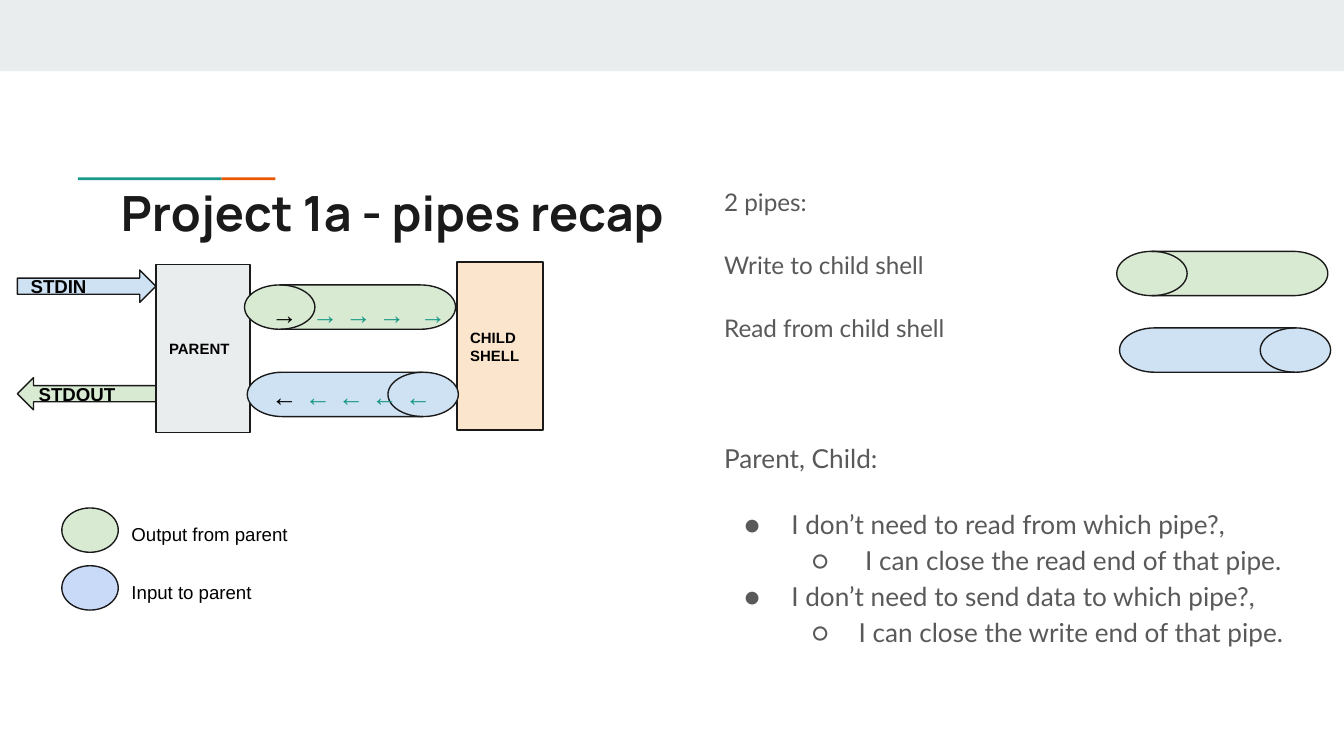
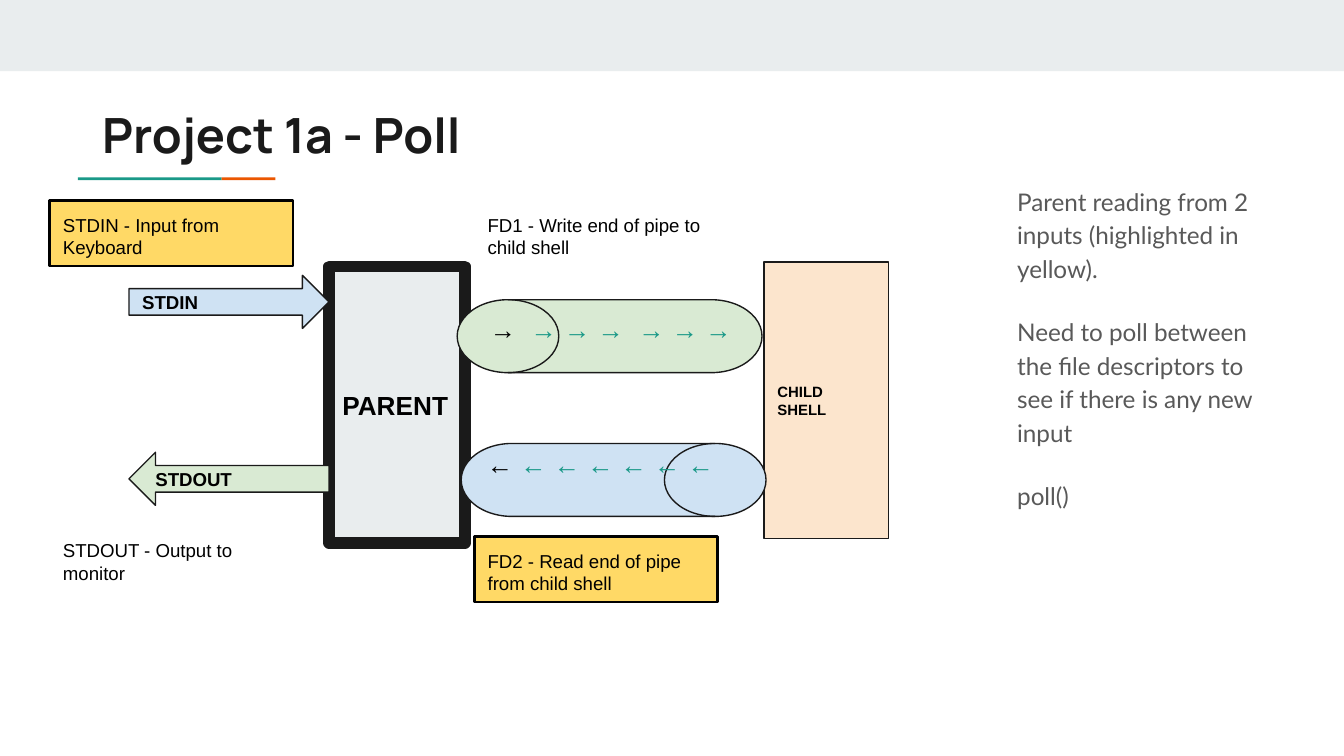
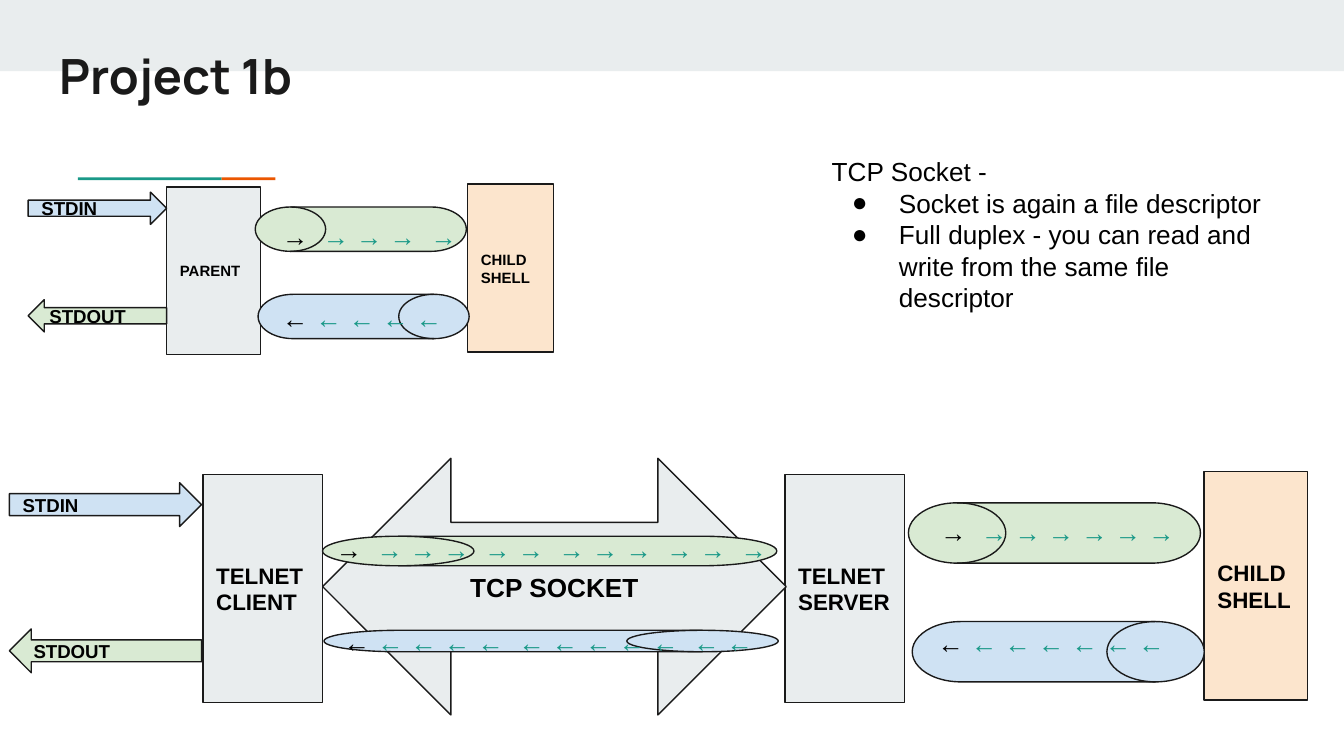
from pptx import Presentation
from pptx.dml.color import RGBColor
from pptx.enum.shapes import MSO_SHAPE
from pptx.enum.text import MSO_ANCHOR, MSO_AUTO_SIZE, PP_ALIGN
from pptx.oxml.ns import qn
from pptx.util import Inches, Pt
from lxml.etree import SubElement

BAND = RGBColor(0xE9, 0xED, 0xEE)
TEAL = RGBColor(0x1A, 0x99, 0x88)
ORANGE = RGBColor(0xEB, 0x56, 0x00)
INK = RGBColor(0x1A, 0x1A, 0x1A)
BLACK = RGBColor(0, 0, 0)
GRAY = RGBColor(0x59, 0x59, 0x59)
GREEN = RGBColor(0xD9, 0xEA, 0xD3)
BLUE = RGBColor(0xCF, 0xE2, 0xF3)
PERIWINKLE = RGBColor(0xC9, 0xDA, 0xF8)
PEACH = RGBColor(0xFC, 0xE5, 0xCD)
YELLOW = RGBColor(0xFF, 0xD9, 0x66)

DIAGRAM_WIDTH, DIAGRAM_HEIGHT = 3.91, 1.27
PIPES_WIDTH = 1.59


def set_frame(frame, anchor=MSO_ANCHOR.TOP):
    frame.word_wrap = True
    frame.auto_size = MSO_AUTO_SIZE.NONE
    frame.vertical_anchor = anchor
    frame.margin_left = frame.margin_right = Inches(0.1)
    frame.margin_top = frame.margin_bottom = Inches(0.1)


def add_run(paragraph, text, size, color=BLACK, bold=False, font="Arial"):
    run = paragraph.add_run()
    run.text = text
    run.font.size = Pt(size)
    run.font.name = font
    run.font.bold = bold
    run.font.color.rgb = color
    return run


def next_paragraph(frame, index):
    return frame.add_paragraph() if index else frame.paragraphs[0]


def write_lines(frame, lines, size, bold=False, align=PP_ALIGN.LEFT):
    for index, line in enumerate(lines):
        paragraph = next_paragraph(frame, index)
        paragraph.alignment = align
        add_run(paragraph, line, size, bold=bold)


def set_bullet(paragraph, char, color, indent, font):
    properties = paragraph._p.get_or_add_pPr()
    properties.set("marL", str(Inches(indent)))
    properties.set("indent", str(Inches(-0.35)))
    bullet_color = SubElement(properties, qn("a:buClr"))
    SubElement(bullet_color, qn("a:srgbClr")).set("val", str(color))
    SubElement(properties, qn("a:buFont")).set("typeface", font)
    SubElement(properties, qn("a:buChar")).set("char", char)


def add_block(slide, kind, box, fill, line=INK, weight=0.75):
    block = slide.shapes.add_shape(kind, *map(Inches, box))
    block.shadow.inherit = False
    block.fill.solid()
    block.fill.fore_color.rgb = fill
    if line is None:
        block.line.fill.background()
    else:
        block.line.color.rgb = line
        block.line.width = Pt(weight)
    return block


def add_text_frame(slide, box):
    frame = slide.shapes.add_textbox(*map(Inches, box)).text_frame
    set_frame(frame)
    return frame


def add_label(slide, box, text):
    write_lines(add_text_frame(slide, box), [text], 10)


def add_highlight(slide, box, text):
    note = add_block(slide, MSO_SHAPE.RECTANGLE, box, YELLOW, BLACK, 1.5)
    set_frame(note.text_frame)
    write_lines(note.text_frame, [text], 10)


def add_named_block(slide, kind, box, fill, lines, size,
                    weight=0.75, align=PP_ALIGN.LEFT):
    block = add_block(slide, kind, box, fill, weight=weight)
    set_frame(block.text_frame, MSO_ANCHOR.MIDDLE)
    write_lines(block.text_frame, lines, size, True, align)


def add_process(slide, box, fill, lines, size, weight=0.75):
    add_named_block(slide, MSO_SHAPE.RECTANGLE, box, fill, lines, size, weight)


def add_pipe(slide, box, fill, rotation):
    left, top, length, bore = box
    shift = (length - bore) / 2
    pipe = add_block(slide, MSO_SHAPE.FLOWCHART_MAGNETIC_DISK,
                     (left + shift, top - shift, bore, length), fill)
    pipe.rotation = rotation


def add_flow(slide, box, arrow, groups):
    paragraph = add_text_frame(slide, box).paragraphs[0]
    backward = arrow == "←"
    if backward:
        paragraph._p.get_or_add_pPr().set("marL", str(Inches(0.05)))
    for index, count in enumerate(groups):
        if index:
            gap = add_run(paragraph, " ", 14)
            gap.font._element.set("spc", "390")
        else:
            add_run(paragraph, arrow, 14, bold=backward)
            count -= 1
            if count:
                add_run(paragraph, " ", 14)
        if count:
            add_run(paragraph, " ".join(arrow * count), 14, TEAL)


def add_streams(slide, left, top, width, y_scale):
    for kind, y, fill, name in (
            (MSO_SHAPE.RIGHT_ARROW, 0.06, BLUE, "STDIN"),
            (MSO_SHAPE.LEFT_ARROW, 0.86, GREEN, "STDOUT")):
        box = (left, top + y * y_scale, width, 0.24 * y_scale)
        add_named_block(slide, kind, box, fill, [name], 10)


def add_pipe_pair(slide, left, top, width, y_scale, out_groups, back_groups):
    x_scale = width / PIPES_WIDTH

    def place(x, y, w):
        return (left + x * x_scale, top + y * y_scale,
                w * x_scale, 0.33 * y_scale)

    add_pipe(slide, place(0, 0.17, 1.57), GREEN, 270)
    add_pipe(slide, place(0.02, 0.82, 1.57), BLUE, 90)
    add_flow(slide, place(0.1, 0.17, 1.52), "→", out_groups)
    add_flow(slide, place(0.05, 0.78, 1.52), "←", back_groups)


def add_shell_diagram(slide, box, out_groups=(1, 3, 1), back_groups=(5,),
                      parent_size=8, parent_weight=0.75):
    left, top, width, height = box
    x_scale, y_scale = width / DIAGRAM_WIDTH, height / DIAGRAM_HEIGHT
    process_height = 1.25 * y_scale
    add_process(slide, (left + 1.03 * x_scale, top + 0.02 * y_scale,
                        0.7 * x_scale, process_height),
                BAND, ["PARENT"], parent_size, parent_weight)
    add_process(slide, (left + 3.27 * x_scale, top,
                        0.64 * x_scale, process_height),
                PEACH, ["CHILD", "SHELL"], 8)
    add_pipe_pair(slide, left + 1.69 * x_scale, top, PIPES_WIDTH * x_scale,
                  y_scale, out_groups, back_groups)
    add_streams(slide, left, top, 1.03 * x_scale, y_scale)


def add_telnet_diagram(slide, left, top):
    y_scale, height = 1.36, 1.7
    for x, name in ((1.44, "CLIENT"), (5.77, "SERVER")):
        add_process(slide, (left + x, top + 0.02, 0.89, height),
                    BAND, ["TELNET", name], 12)
    add_process(slide, (left + 8.89, top, 0.77, height),
                PEACH, ["CHILD", "SHELL"], 12)
    add_pipe_pair(slide, left + 6.69, top, 2.2, y_scale, (1, 6), (7,))
    add_streams(slide, left, top, 1.43, y_scale)
    socket = left + 2.33
    add_named_block(slide, MSO_SHAPE.LEFT_RIGHT_ARROW,
                    (socket, top - 0.1, 3.45, 1.91), BAND,
                    ["TCP SOCKET"], 14, align=PP_ALIGN.CENTER)
    add_pipe(slide, (socket, top + 0.48, 3.38, 0.22), GREEN, 270)
    add_pipe(slide, (socket + 0.01, top + 1.18, 3.38, 0.16), BLUE, 90)
    add_flow(slide, (socket, top + 0.36, 3.42, 0.33), "→", (1, 3, 2, 3, 2, 1))
    add_flow(slide, (socket + 0.01, top + 1.05, 3.37, 0.33), "←", (5, 5, 2))


def add_body(slide, box, paragraphs):
    frame = add_text_frame(slide, box)
    for index, (text, size, before, level) in enumerate(paragraphs):
        paragraph = next_paragraph(frame, index)
        paragraph.line_spacing = 1.15
        paragraph.space_before = Pt(before)
        add_run(paragraph, text, size, GRAY, font="Lato")
        if level:
            paragraph.level = level - 1
            set_bullet(paragraph, "●○"[level - 1], GRAY, 0.5 * level, "Lato")


def add_socket_notes(slide, box):
    frame = add_text_frame(slide, box)
    write_lines(frame, ["TCP Socket -", "Socket is again a file descriptor",
                        "Full duplex - you can read and write "
                        "from the same file descriptor"], 14)
    for paragraph in frame.paragraphs[1:]:
        set_bullet(paragraph, "●", BLACK, 0.5, "Arial")


def add_legend(slide, left, top):
    for row, (fill, text) in enumerate(((GREEN, "Output from parent"),
                                        (PERIWINKLE, "Input to parent"))):
        y = top + 0.43 * row
        add_block(slide, MSO_SHAPE.OVAL, (left, y, 0.42, 0.33), fill)
        add_label(slide, (left + 0.42, y + 0.01, 1.41, 0.28), text)


def add_titled_slide(deck, title, box):
    slide = deck.slides.add_slide(deck.slide_layouts[5])
    heading = slide.shapes.title
    heading.left, heading.top, heading.width, heading.height = map(Inches, box)
    set_frame(heading.text_frame)
    paragraph = heading.text_frame.paragraphs[0]
    paragraph.alignment = PP_ALIGN.LEFT
    add_run(paragraph, title, 26, INK, True, "Manrope")
    return slide


def move_decor_to_layout(slide):
    layout = slide.slide_layout
    for placeholder in list(layout.placeholders)[1:]:
        layout.shapes.element.remove(placeholder.element)
    for index, (box, fill) in enumerate((
            ((0, 0, 10, 0.53), BAND),
            ((0.58, 1.32, 1.07, 0.02), TEAL),
            ((1.65, 1.32, 0.4, 0.02), ORANGE))):
        decor = add_block(slide, MSO_SHAPE.RECTANGLE, box, fill, None)
        layout.shapes.element.insert(2 + index, decor.element)


def build_recap(deck):
    slide = add_titled_slide(deck, "Project 1a - pipes recap",
                             (0.8, 1.26, 8.41, 0.59))
    move_decor_to_layout(slide)
    add_body(slide, (5.29, 1.26, 4.37, 3.74), (
        ("2 pipes:", 13, 0, 0),
        ("Write to child shell", 13, 16, 0),
        ("Read from child shell", 13, 16, 0),
        ("Parent, Child:", 14, 51, 0),
        ("I don’t need to read from which pipe?,", 14, 16, 1),
        (" I can close the read end of that pipe.", 14, 0, 2),
        ("I don’t need to send data to which pipe?,", 14, 0, 1),
        ("I can close the write end of that pipe.", 14, 0, 2)))
    add_shell_diagram(slide, (0.13, 1.95, DIAGRAM_WIDTH, DIAGRAM_HEIGHT))
    add_legend(slide, 0.46, 3.78)
    add_pipe(slide, (8.31, 1.87, 1.57, 0.33), GREEN, 270)
    add_pipe(slide, (8.33, 2.44, 1.57, 0.33), BLUE, 90)


def build_poll(deck):
    slide = add_titled_slide(deck, "Project 1a - Poll",
                             (0.66, 0.68, 8.41, 0.59))
    add_body(slide, (7.47, 1.26, 2.19, 3.74), (
        ("Parent reading from 2 inputs (highlighted in yellow).", 13, 0, 0),
        ("Need to poll between the file descriptors to see "
         "if there is any new input", 13, 16, 0),
        ("poll()", 13, 16, 0)))
    add_shell_diagram(slide, (0.96, 1.95, 5.65, 2.09), (1, 3, 3), (7,), 14, 6)
    for add_note, left, top, text in (
            (add_highlight, 0.37, 1.49, "STDIN - Input from Keyboard"),
            (add_label, 0.37, 3.91, "STDOUT - Output to monitor"),
            (add_label, 3.53, 1.49, "FD1 - Write end of pipe to child shell"),
            (add_highlight, 3.53, 3.99,
             "FD2 - Read end of pipe from child shell")):
        add_note(slide, (left, top, 1.81, 0.49), text)


def build_telnet(deck):
    slide = add_titled_slide(deck, "Project 1b", (0.34, 0.24, 9.32, 0.63))
    add_telnet_diagram(slide, 0.07, 3.51)
    add_shell_diagram(slide, (0.21, 1.37, DIAGRAM_WIDTH, DIAGRAM_HEIGHT))
    add_socket_notes(slide, (6.09, 1.06, 3.57, 1.46))


deck = Presentation()
deck.slide_width = Inches(10)
deck.slide_height = deck.slide_width * 9 // 16
build_recap(deck)
build_poll(deck)
build_telnet(deck)
deck.save("out.pptx")
